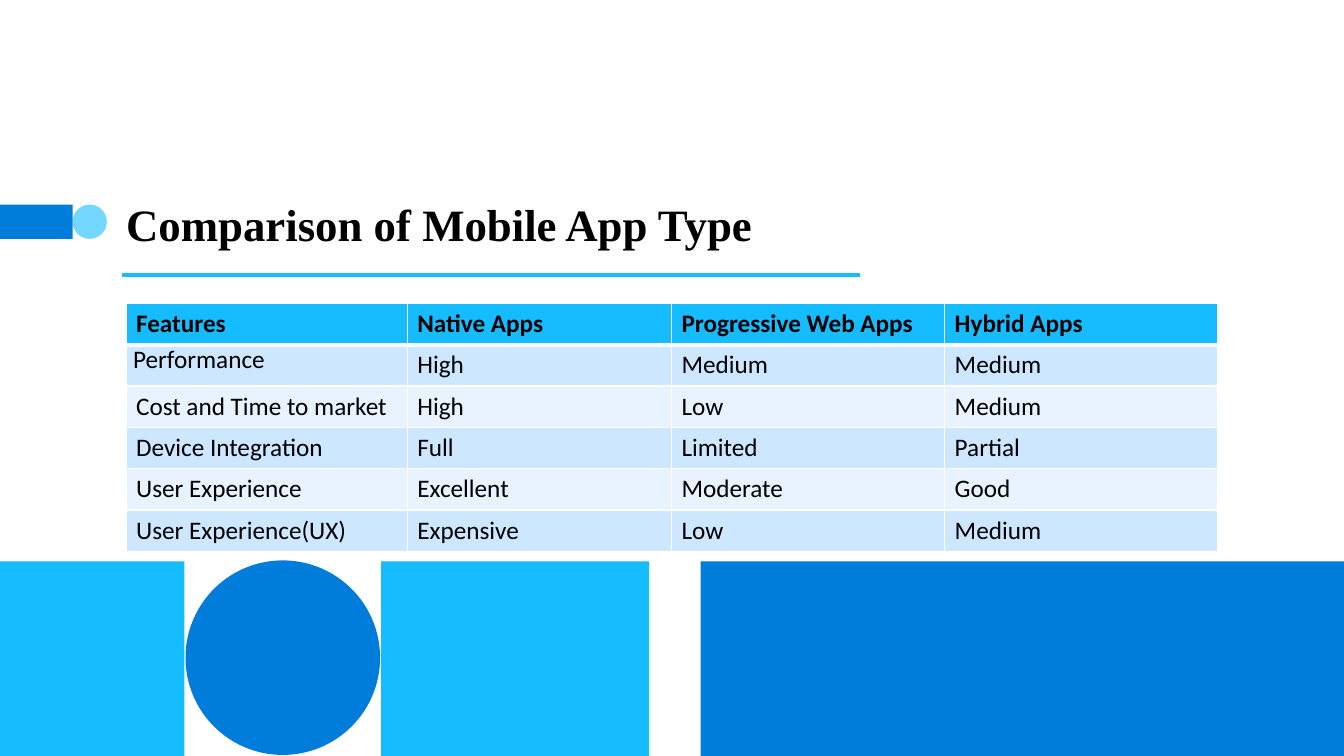
"""Build a slide comparing native, progressive web and hybrid mobile apps."""
from dataclasses import dataclass

import lxml.etree
import pptx
import pptx.dml.color
import pptx.enum.shapes
import pptx.enum.text
import pptx.oxml
import pptx.oxml.ns
import pptx.util

Inches = pptx.util.Inches
Preset = pptx.enum.shapes.MSO_SHAPE
Align = pptx.enum.text.PP_ALIGN
Anchor = pptx.enum.text.MSO_ANCHOR


@dataclass(frozen=True)
class Theme:
    """Colours, fonts and type sizes of the slide."""
    blue: str = "007DDA"
    sky: str = "15BCFF"
    pale_sky: str = "73D7FF"
    odd_row: str = "CCE7FF"
    even_row: str = "E8F3FF"
    white: str = "FFFFFF"
    ink: str = "000000"
    title_font: str = "Times New Roman"
    body_font: str = "Calibri"
    title_size: int = 32
    body_size: int = 18


THEME = Theme()


@dataclass(frozen=True)
class Ornament:
    """A filled decorative shape, measured in inches."""
    preset: Preset
    left: float
    top: float
    width: float
    height: float
    colour: str


ORNAMENTS = (
    Ornament(Preset.RECTANGLE, 6.95, 5.57, 6.39, 1.93, THEME.blue),
    Ornament(Preset.RECTANGLE, 3.78, 5.57, 2.66, 1.93, THEME.sky),
    Ornament(Preset.OVAL, 1.84, 5.56, 1.93, 1.93, THEME.blue),
    Ornament(Preset.RECTANGLE, 0, 5.57, 1.83, 1.93, THEME.sky),
    Ornament(Preset.OVAL, 0.72, 2.03, 0.34, 0.34, THEME.pale_sky),
    Ornament(Preset.RECTANGLE, 0, 2.03, 0.72, 0.34, THEME.blue),
)

COLUMN_WIDTHS = (2.79, 2.62, 2.71, 2.71)
ROW_HEIGHT = 0.41
COMPARISON = (
    ("Features", "Native Apps", "Progressive Web Apps", "Hybrid Apps"),
    ("Performance", "High", "Medium", "Medium"),
    ("Cost and Time to market", "High", "Low", "Medium"),
    ("Device Integration", "Full", "Limited", "Partial"),
    ("User Experience", "Excellent", "Moderate", "Good"),
    ("User Experience(UX)", "Expensive", "Low", "Medium"),
)


def rgb(colour: str) -> pptx.dml.color.RGBColor:
    """Turn a hex string into a colour."""
    return pptx.dml.color.RGBColor.from_string(colour)


def write(frame, text: str, *, font: str = THEME.body_font, size: int = THEME.body_size,
          bold: bool = False, align: Align = Align.LEFT) -> None:
    """Write one formatted paragraph into a text frame."""
    paragraph = frame.paragraphs[0]
    paragraph.alignment = align
    run = paragraph.add_run()
    run.text = text
    run.font.name = font
    run.font.size = pptx.util.Pt(size)
    run.font.bold = bold
    run.font.color.rgb = rgb(THEME.ink)


def draw_ornament(slide, ornament: Ornament) -> None:
    """Draw one decorative shape without outline or shadow."""
    shape = slide.shapes.add_shape(
        ornament.preset, Inches(ornament.left), Inches(ornament.top),
        Inches(ornament.width), Inches(ornament.height))
    shape.shadow.inherit = False
    shape.fill.solid()
    shape.fill.fore_color.rgb = rgb(ornament.colour)
    shape.line.fill.background()


def draw_title_rule(slide) -> None:
    """Draw the line below the title."""
    rule = slide.shapes.add_connector(
        pptx.enum.shapes.MSO_CONNECTOR.STRAIGHT,
        Inches(1.21), Inches(2.73), Inches(8.53), Inches(2.73))
    rule.line.color.rgb = rgb(THEME.sky)
    rule.line.width = pptx.util.Pt(3)
    lxml.etree.SubElement(rule._element.spPr, pptx.oxml.ns.qn("a:effectLst"))


def write_title(slide) -> None:
    """Place and fill the title placeholder."""
    title = slide.shapes.title
    title.left, title.top = Inches(1.25), Inches(1)
    title.width, title.height = Inches(10.83), Inches(1.49)
    frame = title.text_frame
    frame.word_wrap = True
    frame.vertical_anchor = Anchor.BOTTOM
    frame.margin_left = frame.margin_right = frame.margin_top = frame.margin_bottom = 0
    write(frame, "Comparison of Mobile App Type", font=THEME.title_font,
          size=THEME.title_size, bold=True)


def border_cell(cell, top: int, bottom: int) -> None:
    """Give a cell white borders, with top and bottom widths in points."""
    properties = cell._tc.get_or_add_tcPr()
    for side, width in (("L", 1), ("R", 1), ("T", top), ("B", bottom)):
        line = lxml.etree.SubElement(
            properties, pptx.oxml.ns.qn(f"a:ln{side}"), w=str(pptx.util.Pt(width)))
        fill = lxml.etree.SubElement(line, pptx.oxml.ns.qn("a:solidFill"))
        lxml.etree.SubElement(fill, pptx.oxml.ns.qn("a:srgbClr"), val=THEME.white)


def draw_comparison(slide) -> None:
    """Draw the comparison table."""
    table = slide.shapes.add_table(
        len(COMPARISON), len(COLUMN_WIDTHS), Inches(1.25), Inches(3.01),
        Inches(sum(COLUMN_WIDTHS)), Inches(ROW_HEIGHT * len(COMPARISON))).table
    for column, width in zip(table.columns, COLUMN_WIDTHS):
        column.width = Inches(width)
    for index, (row, texts) in enumerate(zip(table.rows, COMPARISON)):
        row.height = Inches(ROW_HEIGHT)
        is_header = index == 0
        band = THEME.odd_row if index % 2 else THEME.even_row
        for cell, text in zip(row.cells, texts):
            border_cell(cell, top=3 if index == 1 else 1, bottom=3 if is_header else 1)
            cell.fill.solid()
            cell.fill.fore_color.rgb = rgb(THEME.sky if is_header else band)
            is_tight = text == "Performance"
            if is_tight:
                cell.margin_left = cell.margin_right = Inches(0.07)
                cell.margin_top = cell.margin_bottom = 0
            write(cell.text_frame, text, bold=is_header,
                  align=Align.JUSTIFY if is_tight else Align.LEFT)


def main() -> None:
    """Build and save the presentation."""
    presentation = pptx.Presentation()
    presentation.slide_width = Inches(13.33)
    presentation.slide_height = Inches(7.5)
    slide = presentation.slides.add_slide(presentation.slide_layouts.get_by_name("Title Only"))
    for ornament in ORNAMENTS:
        draw_ornament(slide, ornament)
    draw_title_rule(slide)
    write_title(slide)
    draw_comparison(slide)
    presentation.save("out.pptx")


if __name__ == "__main__":
    main()
